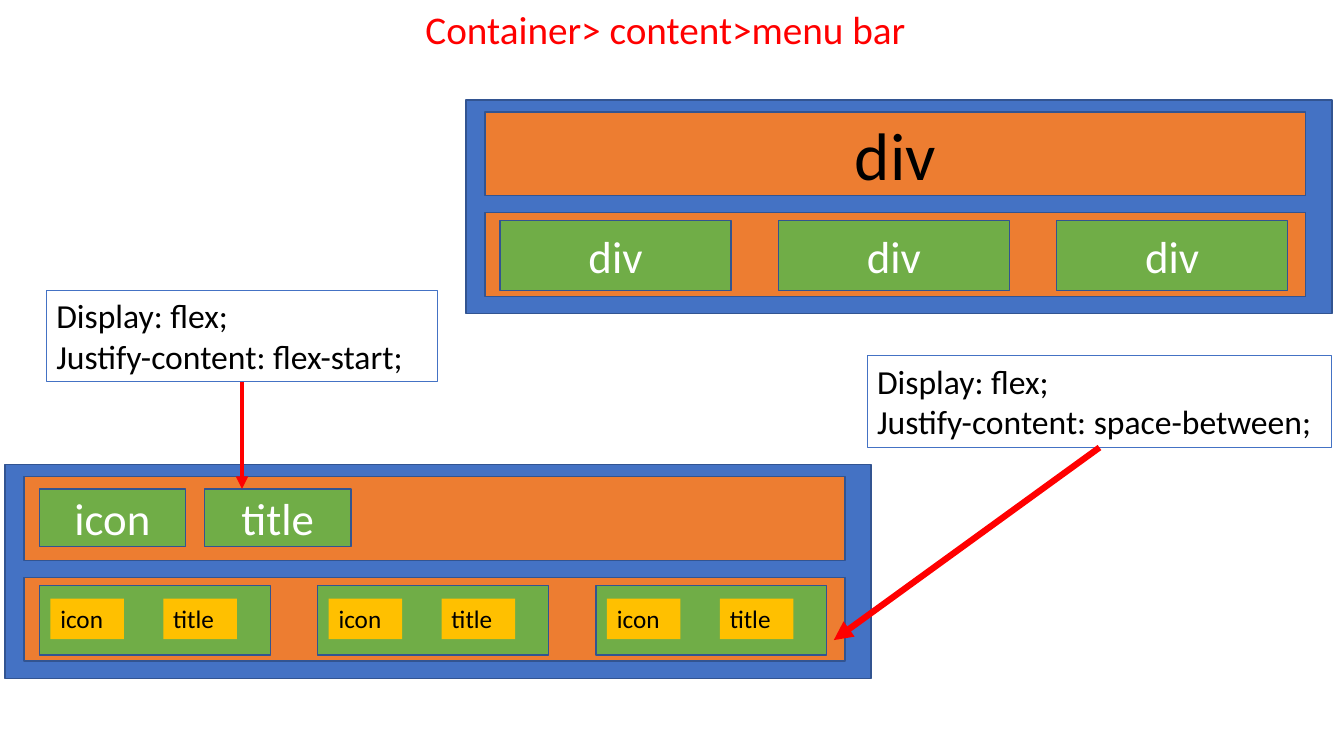
import pptx
import pptx.util
import pptx.dml.color
import pptx.enum.shapes
import pptx.enum.text
import pptx.oxml
import pptx.oxml.ns

Inches, Pt = pptx.util.Inches, pptx.util.Pt
RGB = pptx.dml.color.RGBColor.from_string
ALIGN, ANCHOR = pptx.enum.text.PP_ALIGN, pptx.enum.text.MSO_ANCHOR
COLORS = {
    "panel": "4472C4", "bar": "ED7D31", "item": "70AD47", "label": "FFC000",
    "edge": "325491", "black": "000000", "white": "FFFFFF", "red": "FF0000",
}

presentation = pptx.Presentation()
presentation.slide_width, presentation.slide_height = Inches(13.33), Inches(7.5)
slide = presentation.slides.add_slide(presentation.slide_layouts[5])


def write(shape, text, size, color, align=ALIGN.LEFT, anchor=ANCHOR.TOP):
    frame = shape.text_frame
    frame.text = text
    frame.word_wrap = True
    frame.auto_size = pptx.enum.text.MSO_AUTO_SIZE.NONE
    frame.vertical_anchor = anchor
    for paragraph in frame.paragraphs:
        paragraph.alignment = align
        paragraph.font.name = "Calibri"
        paragraph.font.size = Pt(size)
        paragraph.font.color.rgb = RGB(COLORS[color])


def add_box(left, top, width, height, fill=None, edge="edge", weight=1):
    """Add a flat rectangle; without a fill or edge colour that part is left out."""
    shape = slide.shapes.add_shape(
        pptx.enum.shapes.MSO_SHAPE.RECTANGLE,
        Inches(left), Inches(top), Inches(width), Inches(height))
    shape.shadow.inherit = False
    if fill:
        shape.fill.solid()
        shape.fill.fore_color.rgb = RGB(COLORS[fill])
    else:
        shape.fill.background()
    if edge:
        shape.line.color.rgb = RGB(COLORS[edge])
        shape.line.width = Pt(weight)
    else:
        shape.line.fill.background()
    return shape


# Title
title = slide.shapes.title
title.left, title.top = Inches(4.12), 0
title.width, title.height = Inches(4.99), Inches(0.57)
write(title, "Container> content>menu bar", 28, "red")

# Two panels: a header bar above a bar of three items
ITEM_PITCH = 2.76
for left, top, header, labelled in [(4.62, 0.99, "div", False), (0.05, 4.61, "", True)]:
    add_box(left, top, 8.59, 2.12, "panel")
    header_bar = add_box(left + 0.19, top + 0.12, 8.14, 0.83, "bar")
    if header:
        write(header_bar, header, 48, "black", ALIGN.CENTER, ANCHOR.MIDDLE)
    add_box(left + 0.19, top + 1.12, 8.14, 0.83, "bar")
    for column in range(3):
        item_left = left + 0.34 + column * ITEM_PITCH
        item = add_box(item_left, top + 1.2, 2.29, 0.69, "item")
        if not labelled:
            write(item, "div", 32, "white", ALIGN.CENTER, ANCHOR.MIDDLE)
            continue
        for index, text in enumerate(["icon", "title"]):
            label = add_box(item_left + 0.11 + index * 1.12, top + 1.33,
                            0.73, 0.4, "label", edge=None)
            write(label, text, 18, "black")

# Header items of the lower panel
for index, text in enumerate(["icon", "title"]):
    header_item = add_box(0.39 + index * 1.64, 4.85, 1.45, 0.57, "item")
    write(header_item, text, 32, "white", ALIGN.CENTER, ANCHOR.MIDDLE)

# Style notes, each with an arrow from its lower edge
for left, top, width, rule, end_x, end_y, weight in [
    (0.46, 2.88, 3.88, "flex-start", 2.4, 4.85, 3),
    (8.6, 3.53, 4.61, "space-between", 8.27, 6.35, 4.5),
]:
    note = add_box(left, top, width, 0.91, edge="panel", weight=0.75)
    write(note, f"Display: flex;\nJustify-content: {rule};", 24, "black")
    arrow = slide.shapes.add_connector(
        pptx.enum.shapes.MSO_CONNECTOR.STRAIGHT,
        Inches(left + width / 2), Inches(top + 0.91), Inches(end_x), Inches(end_y))
    arrow.begin_connect(note, 2)
    arrow.line.color.rgb = RGB(COLORS["red"])
    arrow.line.width = Pt(weight)
    namespace = pptx.oxml.ns.nsdecls("a")
    arrow.line._get_or_add_ln().append(
        pptx.oxml.parse_xml(f'<a:tailEnd {namespace} type="triangle"/>'))
    arrow._element.spPr.append(pptx.oxml.parse_xml(f"<a:effectLst {namespace}/>"))

presentation.save("out.pptx")
